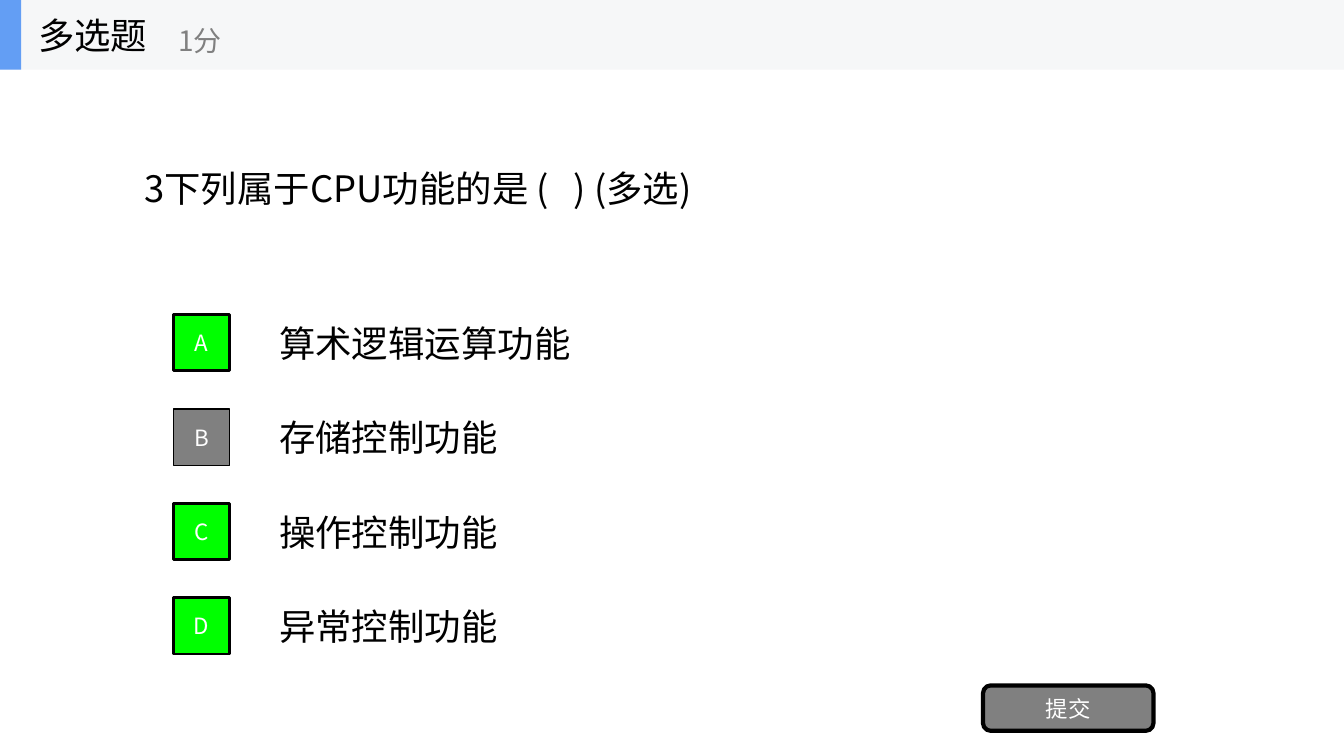
import lxml.etree
import pptx
import pptx.dml.color
import pptx.enum.shapes
import pptx.enum.text
import pptx.oxml.ns
import pptx.util

Inches = pptx.util.Inches
RGBColor = pptx.dml.color.RGBColor
MSO_SHAPE = pptx.enum.shapes.MSO_SHAPE
PP_ALIGN = pptx.enum.text.PP_ALIGN

BLACK = RGBColor(0x00, 0x00, 0x00)
WHITE = RGBColor(0xFF, 0xFF, 0xFF)
GRAY = RGBColor(0x80, 0x80, 0x80)
GREEN = RGBColor(0x00, 0xFF, 0x00)
BAR_GRAY = RGBColor(0xF6, 0xF7, 0xF8)
ACCENT_BLUE = RGBColor(0x63, 0x9E, 0xF4)

FONT = "Noto Sans CJK SC"
SLIDE_WIDTH = 13.33
HEADER_HEIGHT = 0.69
OPTION_TOP = 3.12
OPTION_PITCH = 0.9367
OPTION_SIZE = 0.56
OPTIONS = [
    ("A", "算术逻辑运算功能", 3.2, True),
    ("B", "存储控制功能", 2.47, False),
    ("C", "操作控制功能", 2.47, True),
    ("D", "异常控制功能", 2.47, True),
]


def write_text(shape, text, size, color, alignment=PP_ALIGN.LEFT):
    frame = shape.text_frame
    frame.text = text
    frame.word_wrap = True
    frame.vertical_anchor = pptx.enum.text.MSO_ANCHOR.MIDDLE
    paragraph = frame.paragraphs[0]
    paragraph.alignment = alignment
    for run in paragraph.runs:
        run.font.size = pptx.util.Pt(size)
        run.font.color.rgb = color
        run.font.name = FONT
        # East Asian characters take their font from a separate element
        east_asian = lxml.etree.SubElement(
            run.font._element, pptx.oxml.ns.qn("a:ea"))
        east_asian.set("typeface", FONT)


def add_label(shapes, box, text, size=26, color=BLACK, grow=False):
    label = shapes.add_textbox(*map(Inches, box))
    write_text(label, text, size, color)
    if grow:
        label.text_frame.auto_size = (
            pptx.enum.text.MSO_AUTO_SIZE.SHAPE_TO_FIT_TEXT)


def add_block(shapes, kind, box, fill, line_width=0):
    block = shapes.add_shape(kind, *map(Inches, box))
    block.shadow.inherit = False
    block.fill.solid()
    block.fill.fore_color.rgb = fill
    if line_width:
        block.line.color.rgb = BLACK
        block.line.width = pptx.util.Pt(line_width)
    else:
        block.line.fill.background()
    return block


def add_button(shapes, kind, box, text, fill, line_width):
    button = add_block(shapes, kind, box, fill, line_width)
    write_text(button, text, 16, WHITE, PP_ALIGN.CENTER)


def add_option(shapes, index, letter, answer, width, correct):
    top = OPTION_TOP + index * OPTION_PITCH
    add_label(shapes, (2.67, top + 0.015, width, 0.53), answer, grow=True)
    add_button(shapes, MSO_SHAPE.RECTANGLE,
               (1.72, top, OPTION_SIZE, OPTION_SIZE), letter,
               GREEN if correct else GRAY, 2 if correct else 1)


def add_header(slide):
    shapes = slide.shapes.add_group_shape().shapes
    for width, fill in ((SLIDE_WIDTH, BAR_GRAY), (0.21, ACCENT_BLUE)):
        add_block(shapes, MSO_SHAPE.RECTANGLE,
                  (0, 0, width, HEADER_HEIGHT), fill)
    add_label(shapes, (0.28, 0, 2.08, HEADER_HEIGHT), "多选题")
    add_label(shapes, (1.67, 0.12, 2.5, 0.56), "1分", 20, GRAY)


def main():
    presentation = pptx.Presentation()
    presentation.slide_width = Inches(SLIDE_WIDTH)
    presentation.slide_height = Inches(7.5)
    slide = presentation.slides.add_slide(presentation.slide_layouts[6])

    # Question
    add_label(slide.shapes, (1.33, 1.6, 5.88, 0.53),
              "3下列属于CPU功能的是 (   ) (多选)", grow=True)

    # Answers
    for index, option in enumerate(OPTIONS):
        add_option(slide.shapes, index, *option)

    # Submit button
    add_button(slide.shapes, MSO_SHAPE.ROUNDED_RECTANGLE,
               (9.75, 6.8, 1.69, 0.45), "提交", GRAY, 3)

    # Header bar with question type and score
    add_header(slide)

    presentation.save("out.pptx")


if __name__ == "__main__":
    main()
